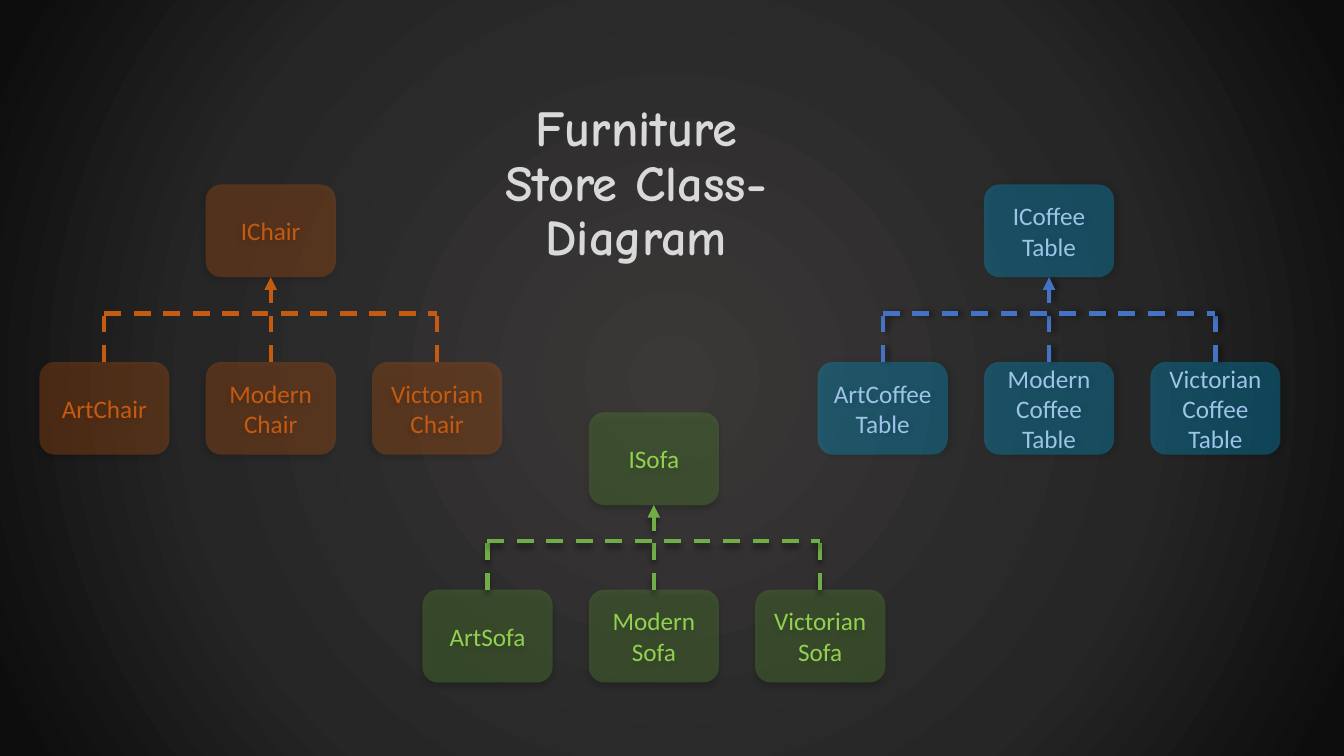
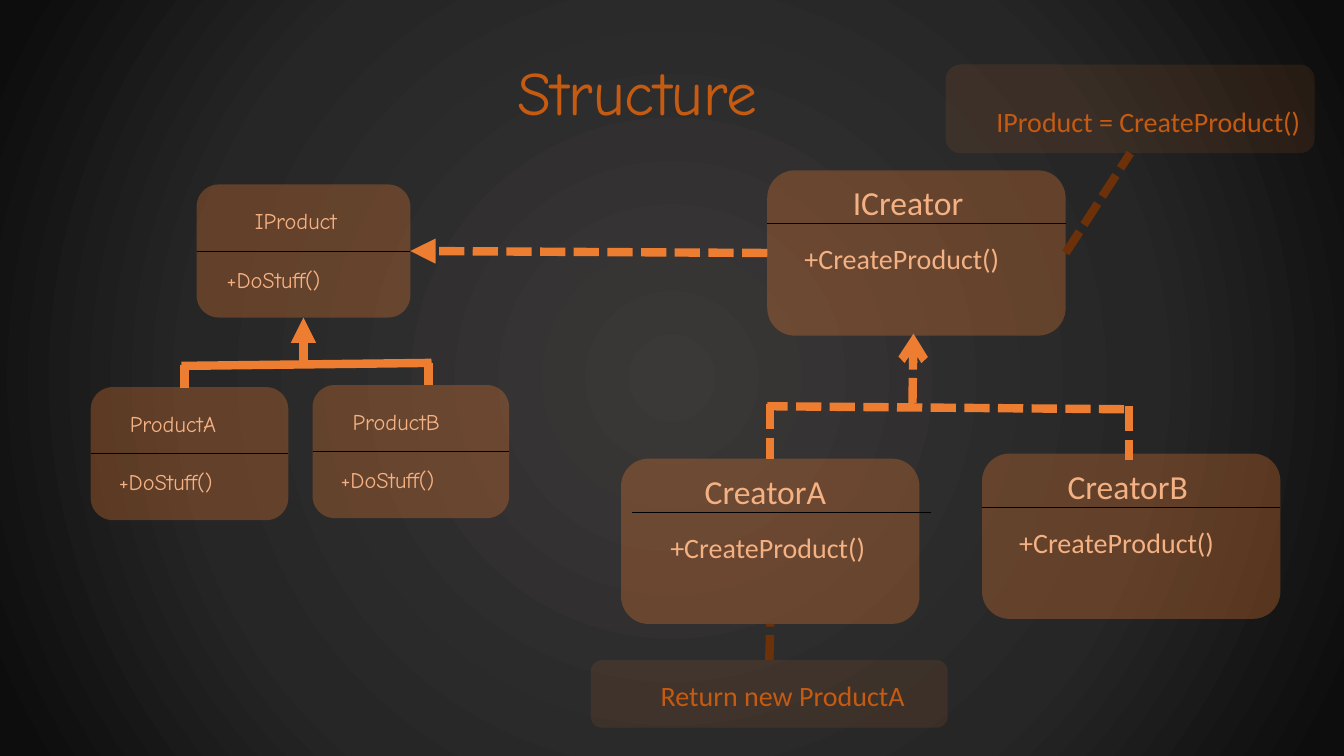
from pptx import Presentation
from pptx.dml.color import RGBColor
from pptx.enum.dml import MSO_LINE
from pptx.enum.shapes import MSO_CONNECTOR, MSO_SHAPE
from pptx.enum.text import MSO_ANCHOR, PP_ALIGN
from pptx.oxml import parse_xml
from pptx.oxml.ns import nsdecls, qn
from pptx.util import Inches, Pt

THEME = {
    "body": "Calibri", "display": "Comic Neue",
    "rust": "C55A11", "orange": "ED7D31", "peach": "F4B183", "brown": "6D3109",
    "title_grey": "D9D9D9", "black": "000000",
    "stops": [(0, "3B3838"), (62, "262626"), (97, "0D0D0D"), (100, "0D0D0D")],
    "title_bold": 36, "title": 44, "heading": 24, "note": 20, "card": 18, "small": 16,
}
SHADOW = (f'<a:outerShdw {nsdecls("a")} blurRad="50800" dist="38100" dir="{{}}" rotWithShape="0">'
          '<a:srgbClr val="000000"><a:alpha val="40000"/></a:srgbClr></a:outerShdw>')
EFFECTS = f'<a:effectLst {nsdecls("a")}/>'


def box(shapes, at, text, size, color, font=THEME["body"], fill=None, alpha=30, shadow=None,
        inset=None, bold=None, align=PP_ALIGN.LEFT, anchor=MSO_ANCHOR.TOP, spacing=None):
    """Add a translucent rounded card, or a plain text box when fill is None."""
    at = [Inches(v) for v in at]
    if fill:
        sp = shapes.add_shape(MSO_SHAPE.ROUNDED_RECTANGLE, *at)
        sp.fill.solid()
        sp.fill.fore_color.rgb = RGBColor.from_string(fill)
        clr = sp._element.spPr.find(".//" + qn("a:srgbClr"))
        clr.append(parse_xml(f'<a:alpha {nsdecls("a")} val="{alpha * 1000}"/>'))
        sp.line.fill.background()
        sp.shadow.inherit = False
        if shadow is not None:
            sp._element.spPr.find(qn("a:effectLst")).append(parse_xml(SHADOW.format(shadow * 60000)))
    else:
        sp = shapes.add_textbox(*at)
    tf = sp.text_frame
    frame = {"word_wrap": True, "vertical_anchor": anchor}
    if inset:
        frame |= {"margin_left": Inches(inset[0]), "margin_top": Inches(inset[1]), "margin_right": 0}
    for key, value in frame.items():
        setattr(tf, key, value)
    tf.text = text
    for p in tf.paragraphs:
        p.alignment, p.line_spacing = align, spacing
        for r in p.runs:
            for key, value in {"name": font, "size": Pt(size), "bold": bold}.items():
                setattr(r.font, key, value)
            r.font.color.rgb = RGBColor.from_string(color)
    return sp


def line(shapes, start, end, color, width, dash=None, tail=None, shadow=None, begin=None, finish=None):
    """Add a straight line; begin and finish are (shape, side) joins."""
    c = shapes.add_connector(MSO_CONNECTOR.STRAIGHT, *[Inches(v) for v in (*start, *end)])
    if begin:
        c.begin_connect(*begin)
    if finish:
        c.end_connect(*finish)
    c.line.color.rgb = RGBColor.from_string(color)
    c.line.width = Pt(width)
    if dash:
        c.line.dash_style = dash
    spPr = c._element.spPr
    if tail:
        spPr.find(qn("a:ln")).append(parse_xml(f'<a:tailEnd {nsdecls("a")} type="{tail}"/>'))
    effects = parse_xml(EFFECTS)
    if shadow is not None:
        effects.append(parse_xml(SHADOW.format(shadow * 60000)))
    spPr.append(effects)


prs = Presentation()
prs.slide_width, prs.slide_height = Inches(13.33), Inches(7.5)

stops = "".join(f'<a:gs pos="{pos * 1000}"><a:srgbClr val="{c}"/></a:gs>' for pos, c in THEME["stops"])
slides = []
for _ in range(2):
    s = prs.slides.add_slide(prs.slide_layouts[6])
    s._element.cSld.insert(0, parse_xml(
        f'<p:bg {nsdecls("p", "a")}><p:bgPr><a:gradFill rotWithShape="1"><a:gsLst>{stops}</a:gsLst>'
        '<a:path path="circle"><a:fillToRect l="50000" t="50000" r="50000" b="50000"/></a:path>'
        '</a:gradFill><a:effectLst/></p:bgPr></p:bg>'))
    slides.append(s.shapes)
diagram, structure = slides

# Slide 1: three class trees
CARD_W, CARD_H, COL_STEP, ROW_STEP, BUS_DROP = 1.29, 0.92, 1.65, 1.76, 1.28
TREES = [
    # left, top, interface, classes, fill, alpha, text, line, card shadow angle, line shadow angle
    (0.39, 1.83, "IChair", ["ArtChair", "Modern\nChair", "Victorian\nChair"],
     "C55A11", 30, "C55A11", "C55A11", 135, None),
    (8.11, 1.83, "ICoffee\nTable", ["ArtCoffee\nTable", "Modern\nCoffee\nTable", "Victorian\nCoffee\nTable"],
     "00B0F0", 30, "9DC3E6", "4472C4", 0, 0),
    (4.19, 4.09, "ISofa", ["ArtSofa", "Modern\nSofa", "Victorian\nSofa"],
     "548235", 38, "92D050", "70AD47", 90, 90),
]
for left, top, interface, classes, fill, alpha, color, stroke, card_angle, line_angle in TREES:
    look = {"size": THEME["card"], "color": color, "fill": fill, "alpha": alpha, "shadow": card_angle,
            "align": PP_ALIGN.CENTER, "anchor": MSO_ANCHOR.MIDDLE}
    root = box(diagram, (left + COL_STEP, top, CARD_W, CARD_H), interface, **look)
    leaves = [box(diagram, (left + i * COL_STEP, top + ROW_STEP, CARD_W, CARD_H), name, **look)
              for i, name in enumerate(classes)]
    pen = {"color": stroke, "width": 3, "dash": MSO_LINE.DASH, "shadow": line_angle}
    centers = [left + CARD_W / 2 + i * COL_STEP for i in range(3)]
    bus = top + BUS_DROP
    for i, (x, leaf) in enumerate(zip(centers, leaves)):
        arrow = {"tail": "triangle", "finish": (root, 2)} if i == 1 else {}
        line(diagram, (x, top + ROW_STEP), (x, bus), begin=(leaf, 0), **arrow, **pen)
    line(diagram, (centers[0], bus), (centers[2], bus), **pen)

title = {"font": THEME["display"], "anchor": MSO_ANCHOR.MIDDLE, "spacing": 0.9}
heading = box(diagram, (4.73, 1.11, 3.16, 1.45), "Furniture Store Class- Diagram", THEME["title_bold"],
              THEME["title_grey"], bold=True, align=PP_ALIGN.CENTER, **title)
glow = parse_xml(EFFECTS)
glow.append(parse_xml(SHADOW.format(45 * 60000)))
heading._element.find(".//" + qn("a:rPr")).find(qn("a:solidFill")).addnext(glow)

# Slide 2: factory method structure
box(structure, (5.03, 0.22, 3.13, 1.45), "Structure", THEME["title"], THEME["rust"], **title)

creator = {"font": THEME["body"], "sizes": (THEME["heading"], THEME["note"]), "rows": (0.07, 0.53, 0.66)}
product = {"font": THEME["display"], "sizes": (THEME["small"], THEME["small"]), "rows": (0.18, 0.66, 0.76)}
CLASSES = [
    # name, method, box, name indent, method indent, divider shift, kind
    ("ICreator", "+CreateProduct()", (7.61, 1.69, 2.96, 1.64), 0.75, 0.27, 0, creator),
    ("IProduct", "+DoStuff()", (1.95, 1.83, 2.12, 1.32), 0.48, 0.2, 0, product),
    ("ProductA", "+DoStuff()", (0.9, 3.84, 1.96, 1.32), 0.29, 0.18, 0, product),
    ("ProductB", "+DoStuff()", (3.1, 3.82, 1.95, 1.32), 0.3, 0.18, 0, product),
    ("CreatorA", "+CreateProduct()", (6.16, 4.55, 2.96, 1.64), 0.73, 0.39, 0.11, creator),
    ("CreatorB", "+CreateProduct()", (9.74, 4.5, 2.96, 1.64), 0.75, 0.27, 0, creator),
]
boxes = {}
for name, method, (x, y, w, h), name_in, method_in, shift, kind in CLASSES:
    group = structure.add_group_shape().shapes
    name_y, divider_y, method_y = [y + row for row in kind["rows"]]
    look = {"color": THEME["peach"], "font": kind["font"]}
    boxes[name] = box(group, (x, y, w, h), "", THEME["small"], fill=THEME["orange"], **look)
    box(group, (x + name_in, name_y, 1.6, 0.4), name, kind["sizes"][0], **look)
    box(group, (x + method_in, method_y, w - method_in, 0.4), method, kind["sizes"][1], **look)
    line(group, (x + shift, divider_y), (x + shift + w, divider_y), THEME["black"], 0.5)

NOTES = [
    ("IProduct = CreateProduct()", (9.38, 0.64, 3.66, 0.88), (0.46, 0.35)),
    ("Return new ProductA", (5.86, 6.55, 3.54, 0.67), (0.66, 0.15)),
]
call_note, return_note = [
    box(structure, at, text, THEME["note"], THEME["rust"], fill=THEME["orange"], alpha=10, inset=inset)
    for text, at, inset in NOTES]

solid = {"color": THEME["orange"], "width": 6}
dashed = solid | {"dash": MSO_LINE.SQUARE_DOT}
callout = dashed | {"color": THEME["brown"]}
LINKS = [
    ((3.01, 3.61), (3.01, 3.15), solid | {"tail": "triangle", "finish": (boxes["IProduct"], 2)}),
    ((1.8, 3.63), (4.28, 3.6), solid),
    ((1.83, 3.85), (1.83, 3.62), solid),
    ((4.25, 3.82), (4.25, 3.6), solid),
    ((7.61, 2.51), (4.07, 2.49), dashed | {"tail": "triangle", "begin": (boxes["ICreator"], 1),
                                           "finish": (boxes["IProduct"], 3)}),
    ((9.05, 4), (9.06, 3.31), dashed | {"tail": "arrow"}),
    ((11.15, 4.06), (7.61, 4.03), dashed),
    ((7.64, 4.01), (7.64, 4.55), dashed | {"finish": (boxes["CreatorA"], 0)}),
    ((11.2, 4.03), (11.2, 4.56), dashed),
    ((7.63, 6.55), (7.64, 6.19), callout | {"begin": (return_note, 0), "finish": (boxes["CreatorA"], 2)}),
    ((10.57, 2.51), (11.21, 1.52), callout | {"begin": (boxes["ICreator"], 3), "finish": (call_note, 2)}),
]
for start, end, pen in LINKS:
    line(structure, start, end, **pen)

prs.save("out.pptx")
